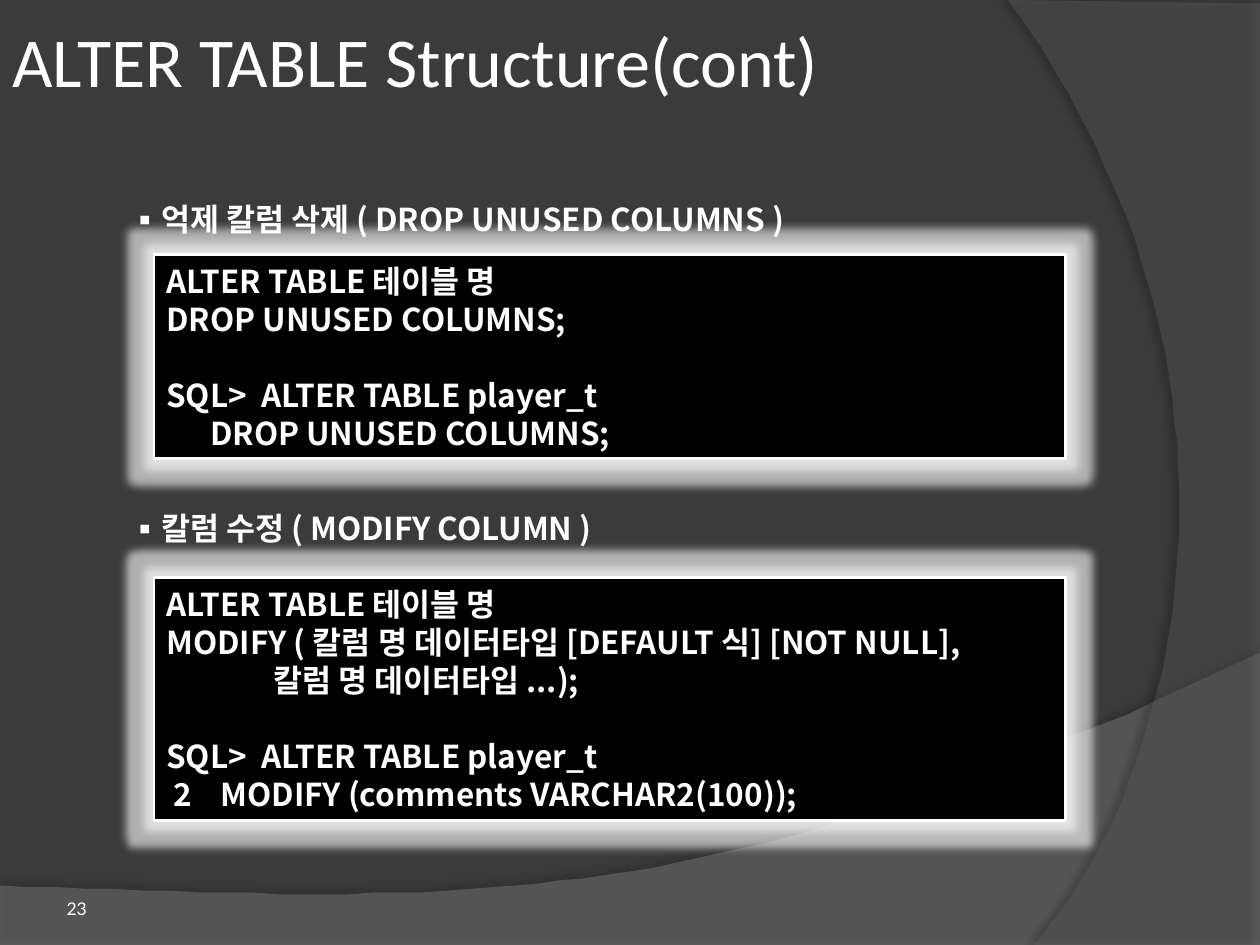
from lxml import etree
from pptx import Presentation
from pptx.dml.color import RGBColor
from pptx.enum import shapes, text
from pptx.oxml import ns
from pptx.util import Pt

WHITE = RGBColor(0xFF, 0xFF, 0xFF)
BLACK = RGBColor(0, 0, 0)
BACKDROP = RGBColor(0x3B, 0x3B, 0x3B)
WAVE = RGBColor(0x7F, 0x7F, 0x7F)
ARC = RGBColor(0x5E, 0x5E, 0x5E)

WIDTH, HEIGHT = 720, 540
KOREAN = "Noto Sans CJK KR"
LINE = 21.7
CODE = {"name": KOREAN, "size": Pt(18), "bold": True}
TITLE = {"name": "Calibri", "size": Pt(40)}
NUMBER = {"name": "Lato", "size": Pt(10)}

# Each code line: text, left margin, first-line indent, space before
DROP_CODE = [
    ("ALTER TABLE 테이블 명", 0, 0, 0),
    ("DROP UNUSED COLUMNS;", 0, 0, 0),
    ("SQL>  ALTER TABLE player_t", 0, 0, LINE),
    ("DROP UNUSED COLUMNS;", 25, 0, 0),
]
MODIFY_CODE = [
    ("ALTER TABLE 테이블 명", 0, 0, 0),
    ("MODIFY ( 칼럼 명 데이터타입 [DEFAULT 식] [NOT NULL],", 0, 0, 0),
    ("칼럼 명 데이터타입 ...);", 61, 0, 0),
    ("SQL>  ALTER TABLE player_t", 0, 0, LINE),
    ("2\tMODIFY (comments VARCHAR2(100));", 31, -27, 0),
]


def add_xml(parent, tag, **attributes):
    values = {key: str(value) for key, value in attributes.items()}
    return etree.SubElement(parent, ns.qn(tag), values)


def add_effect(shape, kind, color, opacity, **attributes):
    """Give a shape one effect, such as a:outerShdw or a:glow."""
    shape.shadow.inherit = False
    effects = shape._element.spPr.find(ns.qn("a:effectLst"))
    effect = add_xml(effects, kind, **attributes)
    tint = add_xml(effect, "a:srgbClr", val=color)
    add_xml(tint, "a:alpha", val=opacity * 1000)


def curve(start, first, second, end, steps=48):
    """Points along a cubic Bezier curve, without its start."""
    for step in range(1, steps + 1):
        t = step / steps
        weights = ((1 - t) ** 3, 3 * t * (1 - t) ** 2, 3 * t * t * (1 - t), t ** 3)
        yield tuple(sum(w * p[axis] for w, p in zip(weights, (start, first, second, end)))
                    for axis in (0, 1))


def add_swoosh(page, points, color, opacity, shadow_opacity, distance, angle):
    builder = page.shapes.build_freeform(*points[0], scale=Pt(1))
    builder.add_line_segments(points[1:], close=True)
    swoosh = builder.convert_to_shape()
    swoosh.fill.solid()
    swoosh.fill.fore_color.rgb = color
    tint = swoosh._element.spPr.find(".//" + ns.qn("a:srgbClr"))
    add_xml(tint, "a:alpha", val=opacity * 1000)
    swoosh.line.fill.background()
    add_effect(swoosh, "a:outerShdw", BLACK, shadow_opacity, blurRad=Pt(4),
               dist=Pt(distance), dir=angle * 60000, rotWithShape=0)


def add_background(page):
    page.background.fill.solid()
    page.background.fill.fore_color.rgb = BACKDROP
    wave = [(0, 506), (0, 539.5), (WIDTH, 539.5), (WIDTH, 373)]
    wave += curve(wave[-1], (402.5, 524), (281.5, 516), wave[0])
    add_swoosh(page, wave, WAVE, 45, 35, 3.5, 270)
    arc = [(WIDTH, 1.5), (WIDTH, HEIGHT), (591, HEIGHT)]
    arc += curve(arc[-1], (673, 445.5), (733, 216), (576, 0))
    add_swoosh(page, arc, ARC, 40, 45, 4, 180)


def style_frame(frame, anchor, bottom=3.6):
    layout = {"word_wrap": True, "vertical_anchor": anchor,
              "margin_left": Pt(7.2), "margin_right": Pt(7.2),
              "margin_top": Pt(3.6), "margin_bottom": Pt(bottom)}
    for name, value in layout.items():
        setattr(frame, name, value)


def add_span(para, words, style):
    para.alignment = text.PP_ALIGN.LEFT
    span = para.add_run()
    span.text = words
    span.font.color.rgb = WHITE
    for name, value in style.items():
        setattr(span.font, name, value)
    add_xml(span._r.get_or_add_rPr(), "a:ea", typeface=style["name"])


def indent(para, margin, first):
    properties = para._p.get_or_add_pPr()
    properties.set("marL", str(Pt(margin)))
    properties.set("indent", str(Pt(first)))
    return properties


def add_label(page, box, words, style, anchor, bottom=3.6):
    label = page.shapes.add_textbox(*map(Pt, box))
    style_frame(label.text_frame, anchor, bottom)
    para = label.text_frame.paragraphs[0]
    add_span(para, words, style)
    return para


def add_heading(page, box, words):
    para = add_label(page, box, words, CODE, text.MSO_ANCHOR.TOP)
    para.line_spacing = Pt(LINE)
    properties = indent(para, 11.5, -11.5)
    add_xml(add_xml(properties, "a:buClr"), "a:srgbClr", val=WHITE)
    add_xml(properties, "a:buFont", typeface=KOREAN)
    add_xml(properties, "a:buChar", char="▪")


def add_code_panel(page, box, lines):
    panel = page.shapes.add_shape(shapes.MSO_SHAPE.RECTANGLE, *map(Pt, box))
    panel.fill.solid()
    panel.fill.fore_color.rgb = BLACK
    panel.line.color.rgb = WHITE
    panel.line.width = Pt(1.5)
    add_effect(panel, "a:glow", WHITE, 60, rad=Pt(10))
    frame = panel.text_frame
    style_frame(frame, text.MSO_ANCHOR.MIDDLE)
    for index, (words, margin, first, gap) in enumerate(lines):
        para = frame.add_paragraph() if index else frame.paragraphs[0]
        add_span(para, words, CODE)
        para.line_spacing = Pt(LINE)
        para.space_before = Pt(gap)
        indent(para, margin, first)


def main():
    deck = Presentation()
    deck.slide_width, deck.slide_height = Pt(WIDTH), Pt(HEIGHT)
    page = deck.slides.add_slide(deck.slide_layouts[6])
    add_background(page)
    add_label(page, (0, 2, 626, 64), "ALTER TABLE Structure(cont)", TITLE,
              text.MSO_ANCHOR.MIDDLE)
    add_label(page, (31, 502.5, 79, 22.5), "23", NUMBER, text.MSO_ANCHOR.BOTTOM, 0)
    add_heading(page, (67, 110.5, 543, 29), "억제 칼럼 삭제 ( DROP UNUSED COLUMNS )")
    add_code_panel(page, (88, 145.5, 521, 116.5), DROP_CODE)
    add_heading(page, (67, 287, 543, 29), "칼럼 수정 ( MODIFY COLUMN )")
    add_code_panel(page, (88, 330, 521, 139), MODIFY_CODE)
    deck.save("out.pptx")


if __name__ == "__main__":
    main()
